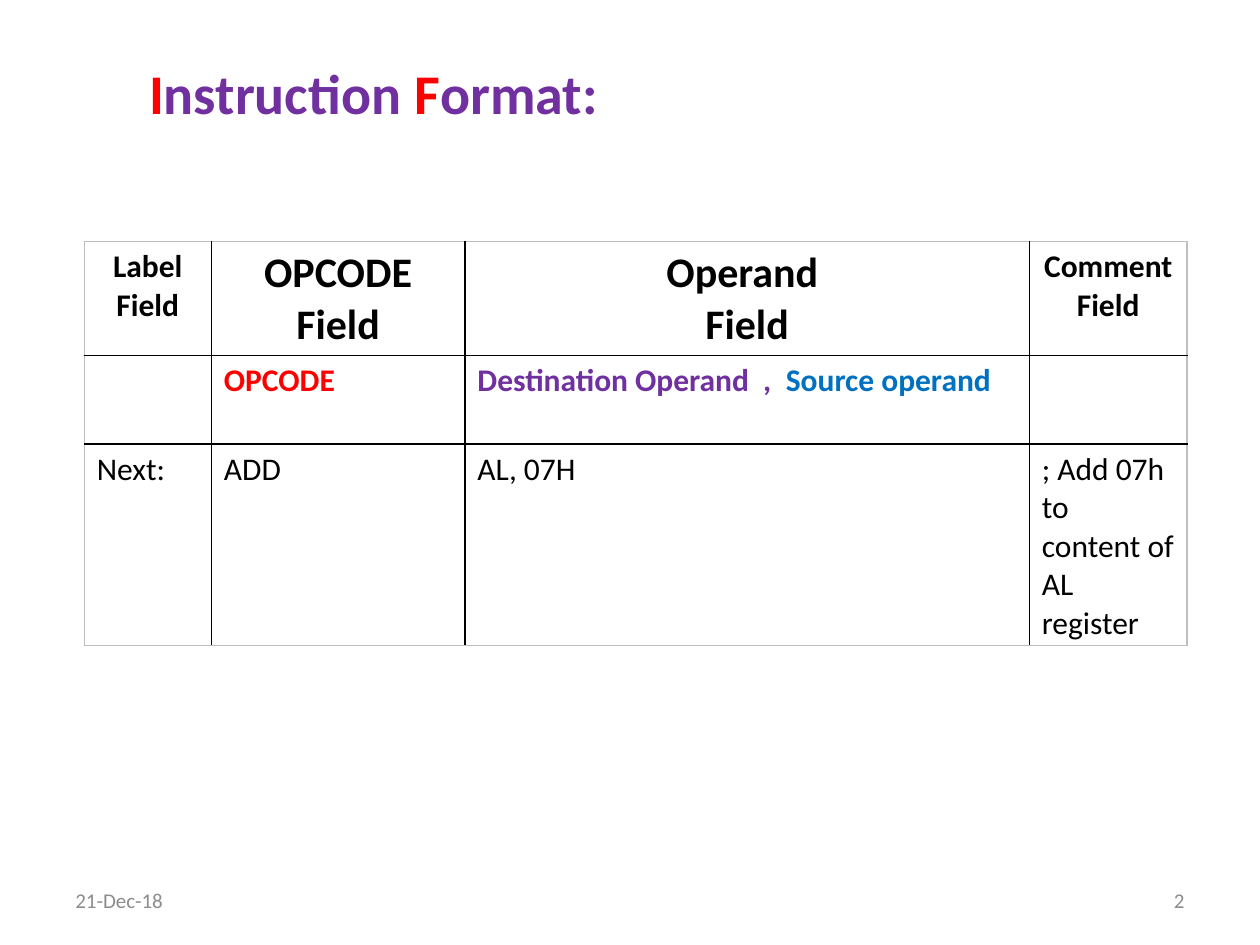
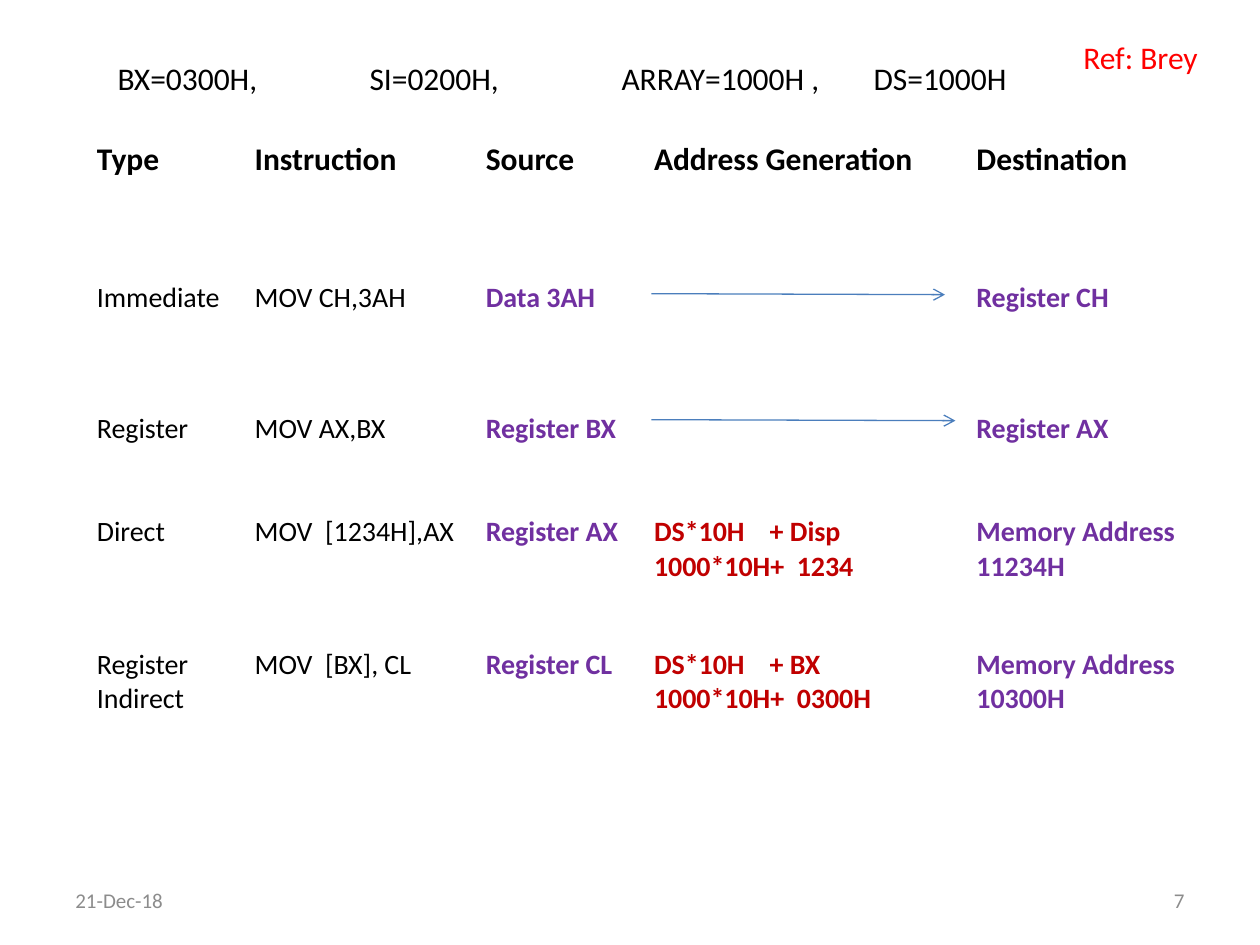
from dataclasses import dataclass
from typing import NamedTuple

from lxml import etree
from pptx import Presentation
from pptx import util as u
from pptx.dml import color
from pptx.enum import shapes, text
from pptx.oxml import ns

HUES = {
    "black": "000000", "red": "FF0000", "purple": "7030A0", "blue": "0070C0",
    "brick": "C00000", "grey": "8C8C8C", "line": "4B7EBC", "edge": "BFBFBF",
}
FACE = "Calibri"
LEFT, MID, RIGHT = text.PP_ALIGN.LEFT, text.PP_ALIGN.CENTER, text.PP_ALIGN.RIGHT
TOP, CENTRE = text.MSO_ANCHOR.TOP, text.MSO_ANCHOR.MIDDLE


class Run(NamedTuple):
    words: str
    hue: str = "black"


class Box(NamedTuple):
    x: float
    y: float
    w: float
    h: float

    def size(self) -> list:
        return [u.Cm(v) for v in self]


@dataclass
class Cell:
    lines: tuple = ()
    size: int = 18
    bold: bool = False
    align: int = LEFT


@dataclass
class Grid:
    x: float
    y: float
    cols: list
    rows: list
    cells: list
    ruled: bool = False


def apply(item, form: dict) -> None:
    for key, val in form.items():
        setattr(item, key, val)


def rgb(hue: str) -> color.RGBColor:
    return color.RGBColor.from_string(HUES[hue])


def write(frame, lines, size: int, bold: bool = False, align=LEFT) -> None:
    for i, runs in enumerate(lines):
        para = frame.paragraphs[0] if i == 0 else frame.add_paragraph()
        para.alignment = align
        for words, hue in runs:
            run = para.add_run()
            run.text = words
            apply(run.font, {"name": FACE, "size": u.Pt(size), "bold": bold})
            run.font.color.rgb = rgb(hue)


def label(slide, box: Box, run: Run, size: int = 18, align=LEFT,
          anchor=TOP, wrap: bool = False):
    frame = slide.shapes.add_textbox(*box.size()).text_frame
    apply(frame, {"word_wrap": wrap, "vertical_anchor": anchor})
    write(frame, [[run]], size, align=align)
    return frame


def footer(slide, number: int) -> None:
    for x, words, align in ((1.27, "21-Dec-18", LEFT), (18.2, str(number), RIGHT)):
        label(slide, Box(x, 17.65, 5.93, 1.01), Run(words, "grey"), 12,
              align, CENTRE, True)


def title(slide, box: Box, runs: list) -> None:
    head = slide.shapes.title
    apply(head, dict(zip(("left", "top", "width", "height"), box.size())))
    apply(head.text_frame, {"word_wrap": True, "vertical_anchor": TOP,
                            "auto_size": text.MSO_AUTO_SIZE.NONE})
    write(head.text_frame, [runs], 32, True)


def border(cell, hues: dict) -> None:
    props = cell._tc.get_or_add_tcPr()
    for i, (side, hue) in enumerate(hues.items()):
        line = etree.Element(ns.qn("a:ln" + side), w=str(u.Pt(1)))
        fill = etree.SubElement(line, ns.qn("a:solidFill"))
        etree.SubElement(fill, ns.qn("a:srgbClr"), val=HUES[hue])
        props.insert(i, line)


def table(slide, grid: Grid) -> None:
    high, wide = len(grid.rows), len(grid.cols)
    box = Box(grid.x, grid.y, sum(grid.cols), sum(grid.rows))
    tab = slide.shapes.add_table(high, wide, *box.size()).table
    apply(tab, {"first_row": False, "horz_banding": False})
    for col, w in zip(tab.columns, grid.cols):
        col.width = u.Cm(w)
    for row, h in zip(tab.rows, grid.rows):
        row.height = u.Cm(h)
    for r, line in enumerate(grid.cells):
        for c, data in enumerate(line):
            cell = tab.cell(r, c)
            cell.fill.background()
            write(cell.text_frame, data.lines, data.size, data.bold, data.align)
            if grid.ruled:
                ends = {"L": c == 0, "R": c == wide - 1,
                        "T": r == 0, "B": r == high - 1}
                border(cell, {k: "edge" if end else "black"
                              for k, end in ends.items()})


def arrow(slide, x: float, y: float, end: float) -> None:
    line = slide.shapes.add_connector(
        shapes.MSO_CONNECTOR.STRAIGHT, *[u.Cm(v) for v in (x, y, end, y + 0.02)])
    line.line.color.rgb = rgb("line")
    line.line.width = u.Pt(0.75)
    etree.SubElement(line.line._get_or_add_ln(), ns.qn("a:tailEnd"), type="arrow")
    etree.SubElement(line._element.spPr, ns.qn("a:effectLst"))


def tabs(para, step: float, count: int) -> None:
    stops = etree.SubElement(para._p.get_or_add_pPr(), ns.qn("a:tabLst"))
    for i in range(1, count + 1):
        etree.SubElement(stops, ns.qn("a:tab"), pos=str(u.Cm(step * i)), algn="l")


def plain(words: str, hue: str = "black", **form) -> Cell:
    return Cell(tuple([Run(part, hue)] for part in words.split("\n")), **form)


def format_slide(deck) -> None:
    slide = deck.slides.add_slide(deck.slide_layouts[5])
    footer(slide, 2)
    title(slide, Box(2.75, 1.06, 13.97, 1.62),
          [Run("I", "red"), Run("nstruction ", "purple"),
           Run("F", "red"), Run("ormat:", "purple")])
    heads = (("Label Field", 18), ("OPCODE Field", 24),
             ("Operand \nField", 24), ("Comment Field", 18))
    parts = [Run("Destination Operand  ,  ", "purple"), Run("Source operand ", "blue")]
    cells = [
        [plain(words, size=size, bold=True, align=MID) for words, size in heads],
        [Cell(), plain("OPCODE", "red", bold=True), Cell((parts,), bold=True), Cell()],
        [plain(words) for words in
         ("Next:", "ADD", "AL, 07H", "; Add 07h to content of AL register")],
    ]
    table(slide, Grid(1.7, 4.87, [2.56, 5.11, 11.38, 3.18],
                      [2.3, 1.78, 4.06], cells, True))


def modes_slide(deck) -> None:
    slide = deck.slides.add_slide(deck.slide_layouts[6])
    footer(slide, 7)
    heads = ("Type", "Instruction", "Source", "Address Generation", "Destination")
    modes = (
        ("Immediate", "MOV CH,3AH", "Data 3AH", "", "Register CH"),
        ("Register", "MOV AX,BX", "Register BX", "", "Register AX"),
        ("Direct", "MOV  [1234H],AX", "Register AX",
         "DS*10H    + Disp\n1000*10H+  1234", "Memory Address 11234H"),
        ("Register Indirect", "MOV  [BX], CL", "Register CL",
         "DS*10H    + BX\n1000*10H+  0300H", "Memory Address 10300H"),
    )
    hues = ("black", "black", "purple", "brick", "purple")
    cells = [[plain(words, bold=True) for words in heads]]
    for mode in modes:
        cells.append([Cell() for _ in heads])
        cells.append([plain(words, hue, size=16, bold=hue != "black")
                      if words else Cell() for words, hue in zip(mode, hues)])
    table(slide, Grid(1.7, 2.71, [3.18, 4.66, 3.39, 6.5, 4.93],
                      [1.04, 1.78, 1.61, 1.04, 1.04, 1.04, 1.63, 1.04, 2.9], cells))
    for y, end in ((5.92, 19.05), (8.46, 19.26)):
        arrow(slide, 13.13, y, end)
    given = label(slide, Box(2.12, 1.06, 18.62, 1.03),
                  Run("BX=0300H, \tSI=0200H, \tARRAY=1000H , \tDS=1000H"))
    tabs(given.paragraphs[0], 5.08, 3)
    label(slide, Box(21.59, 0.64, 2.84, 1.03), Run("Ref: Brey", "red"))


def main() -> None:
    deck = Presentation()
    apply(deck, {"slide_width": u.Cm(25.4), "slide_height": u.Cm(19.05)})
    format_slide(deck)
    modes_slide(deck)
    deck.save("out.pptx")


main()
